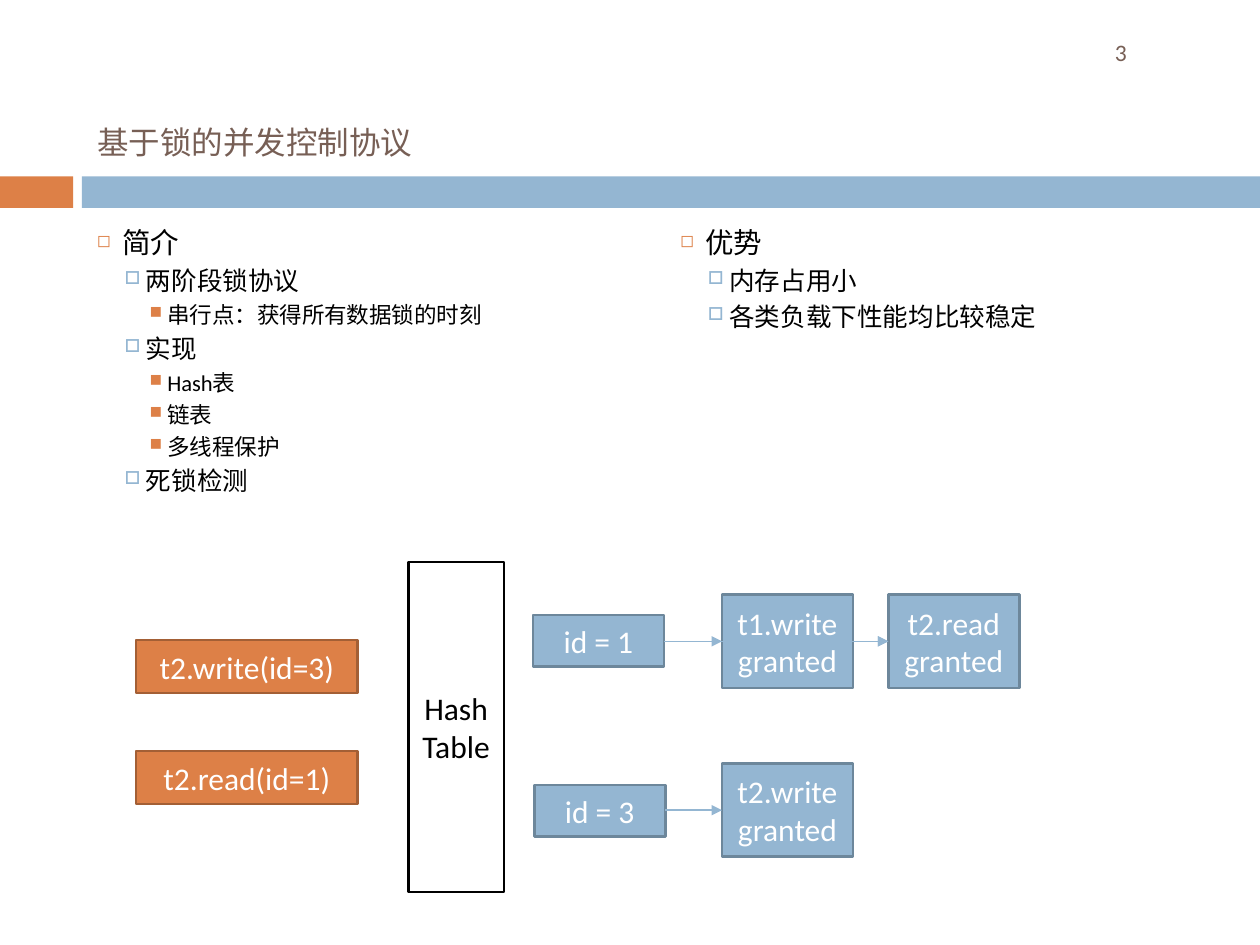
from lxml import etree
from pptx import Presentation
from pptx.dml.color import RGBColor
from pptx.enum import shapes, text
from pptx.oxml import ns
from pptx.util import Inches, Pt

COLORS = {
    "orange": "DD8047", "orange_edge": "A35F35",
    "blue": "94B6D2", "blue_edge": "6D879B",
    "brown": "775F55", "black": "000000", "white": "FFFFFF",
}
LEVELS = [
    {"left": 0.2, "hang": 0.2, "before": 3.9, "size": 16.3,
     "bullet": "◻", "color": "orange", "scale": 60},
    {"left": 0.39, "hang": 0.17, "before": 3.1, "size": 14.6,
     "bullet": "□", "color": "blue", "scale": 70},
    {"left": 0.56, "hang": 0.14, "before": 2.8, "size": 12.9,
     "bullet": "■", "color": "orange", "scale": 75},
]
INTRO = [
    (0, "简介"), (1, "两阶段锁协议"), (2, "串行点：获得所有数据锁的时刻"),
    (1, "实现"), (2, "Hash表"), (2, "链表"), (2, "多线程保护"), (1, "死锁检测"),
]
STRENGTHS = [(0, "优势"), (1, "内存占用小"), (1, "各类负载下性能均比较稳定")]


def rgb(name):
    return RGBColor.from_string(COLORS[name])


def place(item, left, top, width, height):
    item.left, item.top = Inches(left), Inches(top)
    item.width, item.height = Inches(width), Inches(height)


def style(para, size, color):
    para.font.name = "Calibri"
    para.font.size = Pt(size)
    para.font.color.rgb = rgb(color)


def add_text(page, bounds):
    box = page.shapes.add_textbox(*map(Inches, bounds))
    box.text_frame.word_wrap = True
    return box.text_frame


def set_title(page, wording):
    title = page.shapes.title
    place(title, 0.67, 0.25, 8.92, 1.08)
    frame = title.text_frame
    frame.text = wording
    frame.word_wrap = True
    frame.auto_size = text.MSO_AUTO_SIZE.NONE
    frame.vertical_anchor = text.MSO_ANCHOR.BOTTOM
    para = frame.paragraphs[0]
    para.alignment = text.PP_ALIGN.LEFT
    style(para, 18, "brown")


def add_bullet(para, level):
    props = para._p.get_or_add_pPr()
    props.set("marL", str(Inches(level["left"])))
    props.set("indent", str(-Inches(level["hang"])))
    color = etree.SubElement(props, ns.qn("a:buClr"))
    etree.SubElement(color, ns.qn("a:srgbClr"), val=COLORS[level["color"]])
    etree.SubElement(props, ns.qn("a:buSzPct"), val=str(level["scale"] * 1000))
    etree.SubElement(props, ns.qn("a:buChar"), char=level["bullet"])


def add_outline(page, left, items):
    frame = add_text(page, (left, 1.74, 4.25, 5))
    for index, (depth, wording) in enumerate(items):
        level = LEVELS[depth]
        para = frame.add_paragraph() if index else frame.paragraphs[0]
        para.text = wording
        para.level = depth
        add_bullet(para, level)
        if index:
            para.space_before = Pt(level["before"])
        style(para, level["size"], "black")


def add_box(page, bounds, fill, edge=None, wording="", color="white"):
    box = page.shapes.add_shape(shapes.MSO_SHAPE.RECTANGLE, *map(Inches, bounds))
    box.shadow.inherit = False
    box.fill.solid()
    box.fill.fore_color.rgb = rgb(fill)
    if edge:
        box.line.color.rgb = rgb(edge)
        box.line.width = Pt(1.5)
    else:
        box.line.fill.background()
    if wording:
        frame = box.text_frame
        frame.text = wording
        frame.word_wrap = True
        frame.vertical_anchor = text.MSO_ANCHOR.MIDDLE
        for para in frame.paragraphs:
            para.alignment = text.PP_ALIGN.CENTER
            style(para, 18, color)


def add_arrow(page, start, end, y):
    arrow = page.shapes.add_connector(
        shapes.MSO_CONNECTOR.STRAIGHT, Inches(start), Inches(y), Inches(end), Inches(y))
    arrow.line.color.rgb = rgb("blue")
    arrow.line.width = Pt(0.79)
    etree.SubElement(arrow.line._get_or_add_ln(), ns.qn("a:tailEnd"), type="triangle")
    etree.SubElement(arrow._element.spPr, ns.qn("a:effectLst"))


def add_lock_table(page):
    add_box(page, (3.24, 4.46, 0.76, 2.62), "white", "black", "Hash\vTable", "black")
    for left, top, wording in [(4.23, 4.88, "id = 1"), (4.24, 6.23, "id = 3")]:
        add_box(page, (left, top, 1.04, 0.41), "blue", "blue_edge", wording)
    for left, top, request in [(5.73, 4.72, "t1.write"), (5.73, 6.06, "t2.write"),
                               (7.05, 4.72, "t2.read")]:
        add_box(page, (left, top, 1.04, 0.74), "blue", "blue_edge", request + "\ngranted")
    for top, request in [(5.08, "t2.write(id=3)"), (5.96, "t2.read(id=1)")]:
        add_box(page, (1.08, top, 1.76, 0.42), "orange", "orange_edge", request)
    for start, end, y in [(5.27, 5.73, 5.09), (6.77, 7.05, 5.09),
                          (5.28, 5.73, 6.43), (5.27, 7.05, 5.09)]:
        add_arrow(page, start, end, y)


def main():
    deck = Presentation()
    deck.slide_width, deck.slide_height = Inches(10), Inches(7.5)
    page = deck.slides.add_slide(deck.slide_layouts[5])
    add_box(page, (0, 1.4, 0.58, 0.25), "orange")
    add_box(page, (0.65, 1.4, 9.35, 0.25), "blue")
    number = add_text(page, (8.75, 0.25, 0.92, 0.42)).paragraphs[0]
    number.text = "3"
    style(number, 13.5, "brown")
    set_title(page, "基于锁的并发控制协议")
    add_outline(page, 0.67, INTRO)
    add_outline(page, 5.3, STRENGTHS)
    add_lock_table(page)
    deck.save("out.pptx")


if __name__ == "__main__":
    main()
